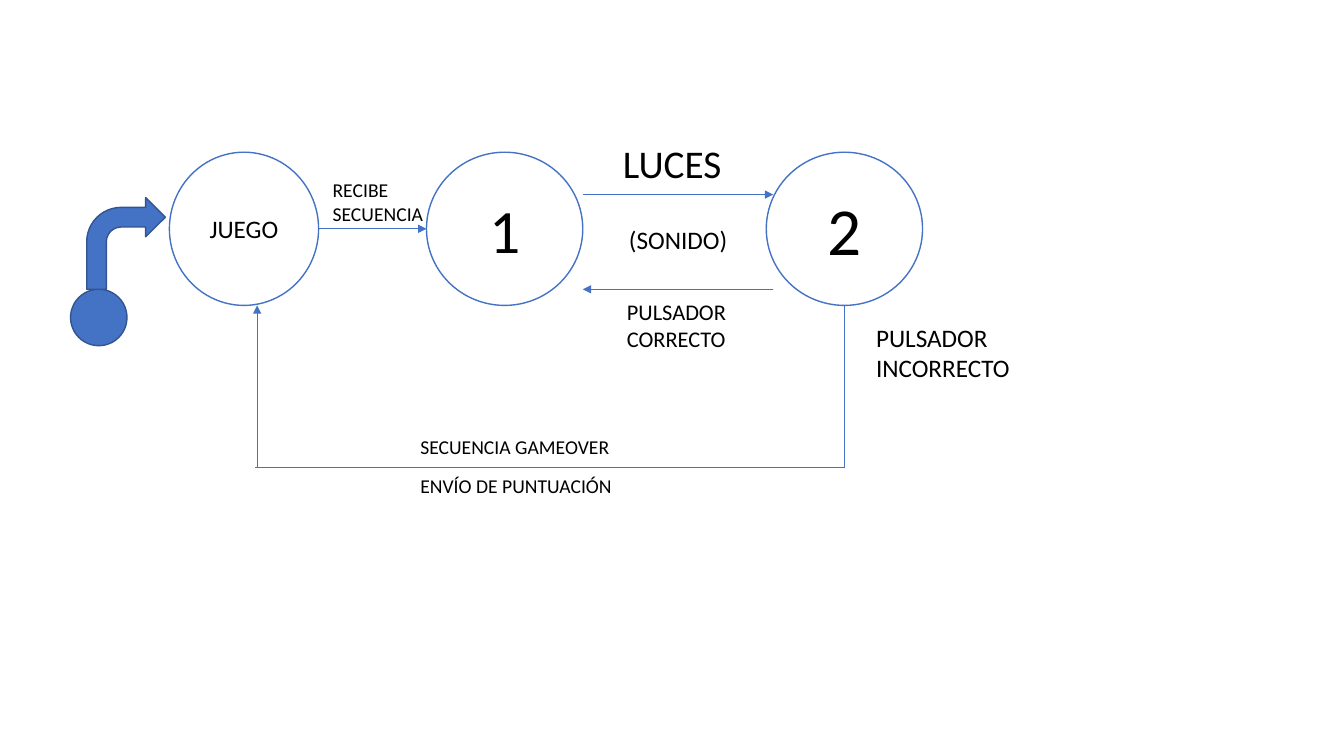
from dataclasses import dataclass

from lxml.etree import SubElement
from pptx import Presentation
from pptx.dml.color import RGBColor
from pptx.enum.shapes import MSO_CONNECTOR, MSO_SHAPE
from pptx.enum.text import MSO_ANCHOR, MSO_AUTO_SIZE, PP_ALIGN
from pptx.oxml.ns import qn
from pptx.util import Inches, Pt

COLORS = {"blue": "4472C4", "navy": "325491", "white": "FFFFFF", "black": "000000"}
FONT = "Calibri"

STATE_TOP, STATE_HEIGHT = 1.51, 1.52
STATE_BOTTOM = STATE_TOP + STATE_HEIGHT
STATE_MIDDLE = STATE_TOP + STATE_HEIGHT / 2
LIGHTS_Y, CORRECT_Y, RETURN_Y = 1.93, 2.87, 4.64
RETURN_X = 2.55


@dataclass(frozen=True)
class State:
    text: str
    left: float
    width: float
    size: int

    @property
    def right(self) -> float:
        return self.left + self.width

    @property
    def center(self) -> float:
        return self.left + self.width / 2


@dataclass(frozen=True)
class Symbol:
    kind: MSO_SHAPE
    left: float
    top: float
    width: float
    height: float


@dataclass(frozen=True)
class Link:
    start: tuple[float, float]
    end: tuple[float, float]
    arrow: bool = True


@dataclass(frozen=True)
class Label:
    text: str
    left: float
    top: float
    width: float
    height: float
    size: int


GAME = State("JUEGO", 1.68, 1.48, 18)
FIRST = State("1", 4.23, 1.55, 44)
SECOND = State("2", 7.6, 1.55, 48)
STATES = [GAME, FIRST, SECOND]

START_SYMBOLS = [
    Symbol(MSO_SHAPE.OVAL, 0.7, 2.87, 0.56, 0.56),
    Symbol(MSO_SHAPE.BENT_ARROW, 0.86, 1.96, 0.78, 0.91),
]

LINKS = [
    Link((GAME.right, STATE_MIDDLE), (FIRST.left, STATE_MIDDLE)),
    Link((FIRST.right, LIGHTS_Y), (7.67, LIGHTS_Y)),
    Link((7.67, CORRECT_Y), (FIRST.right, CORRECT_Y)),
    Link((SECOND.center, STATE_BOTTOM), (SECOND.center, RETURN_Y), arrow=False),
    Link((SECOND.center, RETURN_Y), (2.53, RETURN_Y), arrow=False),
    Link((RETURN_X, RETURN_Y), (RETURN_X, STATE_BOTTOM)),
]

LABELS = [
    Label("LUCES", 6.08, 1.33, 1.32, 0.57, 28),
    Label("(SONIDO)", 6.14, 2.18, 1.2, 0.4, 18),
    Label("PULSADOR CORRECTO", 6.12, 2.91, 1.48, 0.64, 16),
    Label("PULSADOR INCORRECTO", 8.59, 3.15, 1.55, 0.71, 18),
    Label("RECIBE SECUENCIA", 3.2, 1.72, 1.68, 0.57, 14),
    Label("SECUENCIA GAMEOVER", 4.07, 4.27, 2.64, 0.34, 14),
    Label("ENVÍO DE PUNTUACIÓN", 4.07, 4.65, 2.3, 0.34, 14),
]


def color(name: str) -> RGBColor:
    return RGBColor.from_string(COLORS[name])


def write_text(frame, text: str, *, size: int, align=PP_ALIGN.LEFT, anchor=MSO_ANCHOR.TOP) -> None:
    frame.word_wrap = True
    frame.vertical_anchor = anchor
    para = frame.paragraphs[0]
    para.alignment = align
    span = para.add_run()
    span.text = text
    span.font.name = FONT
    span.font.size = Pt(size)
    span.font.color.rgb = color("black")


def add_symbol(page, symbol: Symbol, fill: str, line: str):
    shape = page.shapes.add_shape(
        symbol.kind, Inches(symbol.left), Inches(symbol.top),
        Inches(symbol.width), Inches(symbol.height))
    shape.shadow.inherit = False
    shape.fill.solid()
    shape.fill.fore_color.rgb = color(fill)
    shape.line.color.rgb = color(line)
    shape.line.width = Pt(1)
    return shape


def add_state(page, state: State) -> None:
    circle = Symbol(MSO_SHAPE.OVAL, state.left, STATE_TOP, state.width, STATE_HEIGHT)
    shape = add_symbol(page, circle, "white", "blue")
    write_text(shape.text_frame, state.text, size=state.size,
               align=PP_ALIGN.CENTER, anchor=MSO_ANCHOR.MIDDLE)


def add_link(page, link: Link) -> None:
    points = [Inches(value) for value in (*link.start, *link.end)]
    connector = page.shapes.add_connector(MSO_CONNECTOR.STRAIGHT, *points)
    connector.line.color.rgb = color("blue")
    connector.line.width = Pt(0.5)
    if link.arrow:
        SubElement(connector.line._get_or_add_ln(), qn("a:tailEnd"), type="triangle")
    SubElement(connector._element.spPr, qn("a:effectLst"))


def add_label(page, label: Label) -> None:
    box = page.shapes.add_textbox(
        Inches(label.left), Inches(label.top), Inches(label.width), Inches(label.height))
    write_text(box.text_frame, label.text, size=label.size)
    box.text_frame.auto_size = MSO_AUTO_SIZE.SHAPE_TO_FIT_TEXT


def main() -> None:
    deck = Presentation()
    deck.slide_width, deck.slide_height = Inches(13.33), Inches(7.5)
    page = deck.slides.add_slide(deck.slide_layouts[6])
    for symbol in START_SYMBOLS:
        add_symbol(page, symbol, "blue", "navy")
    for state in STATES:
        add_state(page, state)
    for link in LINKS:
        add_link(page, link)
    for label in LABELS:
        add_label(page, label)
    deck.save("out.pptx")


if __name__ == "__main__":
    main()
